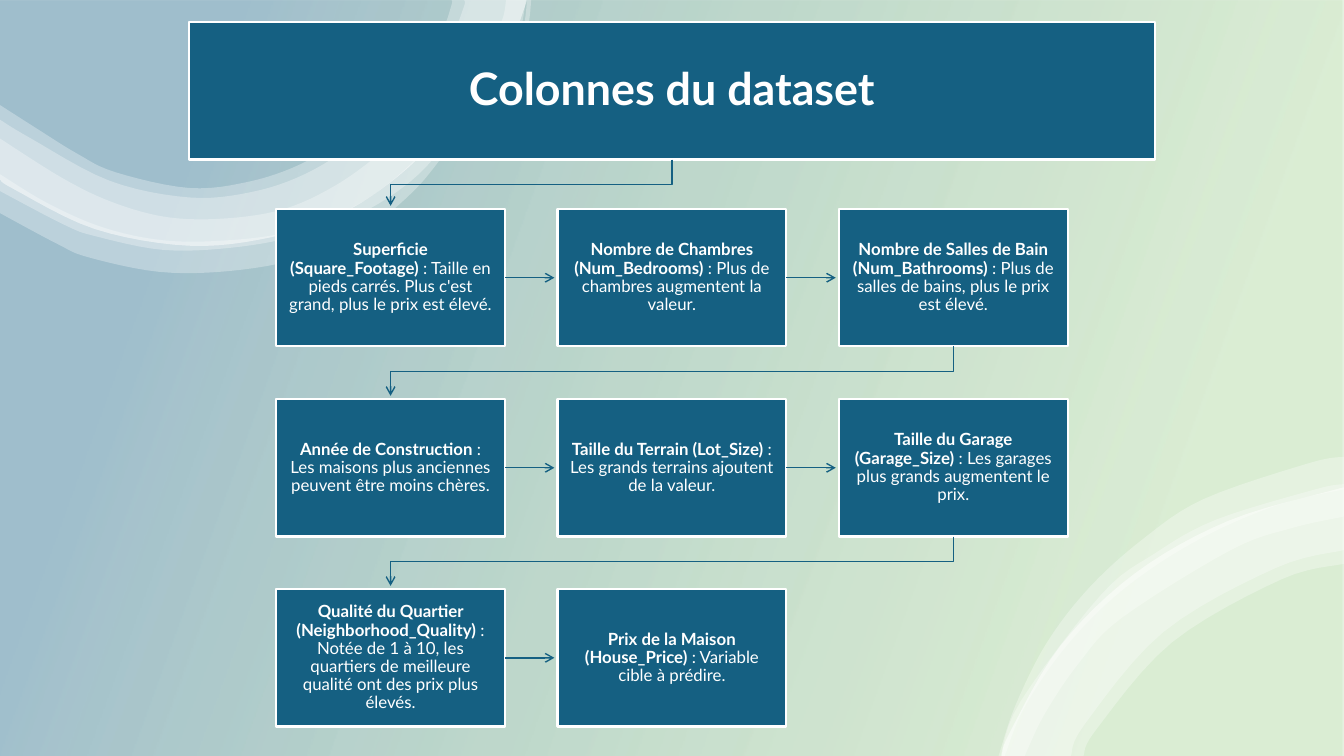
from pptx import Presentation
from pptx.dml.color import RGBColor
from pptx.enum.shapes import MSO_CONNECTOR as Connector, MSO_SHAPE as Shape
from pptx.enum.text import MSO_ANCHOR as Anchor, PP_ALIGN as Align
from pptx.oxml.ns import qn
from pptx.util import Pt
from lxml.etree import SubElement

PX = 9525
WIDTH, HEIGHT = 1280, 720
FONT = "Lato"
COLORS = {"box": "156082", "white": "FFFFFF", "green": "4EA72E"}

TITLE = (180, 21, 920, 131)
BOX_LEFT, BOX_TOP, BOX_WIDTH, BOX_HEIGHT = 263, 199, 218, 131
COLUMN_STEP, ROW_STEP, COLUMNS = 268, 181, 3
ARROW_GAP, ELBOW_DROP = 3, 24

FIELDS = [
    ("Superficie (Square_Footage)",
     " : Taille en pieds carrés. Plus c'est grand, plus le prix est élevé."),
    ("Nombre de Chambres (Num_Bedrooms)", " : Plus de chambres augmentent la valeur."),
    ("Nombre de Salles de Bain (Num_Bathrooms)",
     " : Plus de salles de bains, plus le prix est élevé."),
    ("Année de Construction", " : Les maisons plus anciennes peuvent être moins chères."),
    ("Taille du Terrain (Lot_Size)", " : Les grands terrains ajoutent de la valeur."),
    ("Taille du Garage (Garage_Size)", " : Les garages plus grands augmentent le prix."),
    ("Qualité du Quartier (Neighborhood_Quality)",
     " : Notée de 1 à 10, les quartiers de meilleure qualité ont des prix plus élevés."),
    ("Prix de la Maison (House_Price)", " : Variable cible à prédire."),
]

LEFT_OUTER = [(0, 171), (13, 180), (90, 218), (180, 234), (258, 226), (324, 204),
              (379, 168), (427, 121), (475, 67), (500, 6), (500, 0)]
RIGHT_OUTER = [(954, 720), (962, 697), (1010, 615), (1081, 546), (1170, 496),
               (1269, 467), (1280, 465)]
# Each wave is the area between two smooth edges
WAVES = [
    ([(0, 166), (46, 194), (99, 217), (156, 229), (216, 229), (275, 221), (329, 201),
      (376, 170), (437, 111), (475, 70), (490, 48), (499, 24), (502, 0)],
     [(0, 203), (54, 232), (84, 245), (152, 259), (220, 258), (286, 246), (346, 220),
      (394, 182), (430, 138), (481, 73), (494, 50), (503, 25), (506, 0)]),
    ([(0, 132), (60, 170), (108, 193), (160, 207), (216, 208), (271, 199), (319, 177),
      (361, 147), (399, 113), (455, 58), (469, 38), (479, 17), (482, 0)],
     [(0, 182), (61, 214), (91, 225), (155, 238), (220, 236), (282, 225), (342, 204),
      (392, 172), (430, 131), (462, 90), (485, 58), (495, 33), (501, 0)]),
    ([(0, 114), (28, 131), (104, 172), (180, 188), (239, 183), (290, 166), (336, 137),
      (379, 95), (400, 71), (429, 36), (442, 6), (442, 0)], LEFT_OUTER),
    ([(0, 100), (36, 123), (73, 146), (110, 164), (180, 179), (237, 173), (287, 156),
      (329, 129), (369, 89), (391, 65), (419, 33), (430, 5), (430, 0)], LEFT_OUTER),
    ([(957, 720), (975, 675), (1011, 621), (1055, 574), (1106, 535), (1163, 503),
      (1223, 479), (1280, 466)],
     [(951, 720), (967, 672), (997, 612), (1038, 559), (1089, 513), (1147, 475),
      (1247, 441), (1280, 435)]),
    ([(1032, 720), (1044, 695), (1116, 612), (1220, 552), (1280, 537)], RIGHT_OUTER),
    ([(976, 720), (995, 680), (1028, 631), (1069, 588), (1172, 524), (1230, 503),
      (1280, 492)],
     [(953, 720), (972, 668), (1049, 566), (1100, 527), (1158, 495), (1253, 466),
      (1280, 461)]),
    ([(1020, 720), (1033, 690), (1108, 602), (1215, 541), (1280, 524)], RIGHT_OUTER),
]


def color(name):
    return RGBColor.from_string(COLORS[name])


def set_alpha(fill_element, percent):
    """Make every colour inside a fill element partly transparent."""
    for element in fill_element.iter(qn("a:srgbClr")):
        SubElement(element, qn("a:alpha"), val=str(percent * 1000))


def smooth(points, steps=6):
    """Return points along a Catmull-Rom curve through the given points."""
    padded = [points[0], *points, points[-1]]
    curve = []
    for a, b, c, d in zip(padded, padded[1:], padded[2:], padded[3:]):
        for step in range(steps):
            t = step / steps
            curve.append(tuple(
                (2 * q + (r - p) * t + (2 * p - 5 * q + 4 * r - s) * t ** 2
                 + (3 * q - p - 3 * r + s) * t ** 3) / 2
                for p, q, r, s in zip(a, b, c, d)))
    return curve + [points[-1]]


def add_outline(slide, points, close):
    scaled = [(round(x * PX), round(y * PX)) for x, y in points]
    builder = slide.shapes.build_freeform(*scaled[0])
    builder.add_line_segments(scaled[1:], close=close)
    shape = builder.convert_to_shape()
    shape.shadow.inherit = False
    return shape


def add_rectangle(slide, *box):
    shape = slide.shapes.add_shape(Shape.RECTANGLE, *(length * PX for length in box))
    shape.shadow.inherit = False
    return shape


def add_backdrop(slide):
    shape = add_rectangle(slide, 0, 0, WIDTH, HEIGHT)
    shape.line.fill.background()
    shape.fill.gradient()
    shape.fill.gradient_angle = 160
    looks = [(0.16, "green", 20), (0.85, "box", 40)]
    for stop, (position, name, alpha) in zip(shape.fill.gradient_stops, looks):
        stop.position = position
        stop.color.rgb = color(name)
    stop_elements = shape._element.spPr.iter(qn("a:gs"))
    for element, (_, _, alpha) in zip(stop_elements, looks):
        set_alpha(element, alpha)


def add_wave(slide, inner, outer):
    shape = add_outline(slide, smooth(inner) + smooth(outer)[::-1], close=True)
    shape.line.fill.background()
    shape.fill.solid()
    shape.fill.fore_color.rgb = color("white")
    set_alpha(shape._element.spPr, 30)


def add_box(slide, box, size, heading, detail=""):
    shape = add_rectangle(slide, *box)
    shape.fill.solid()
    shape.fill.fore_color.rgb = color("box")
    shape.line.color.rgb = color("white")
    shape.line.width = Pt(1.5)
    frame = shape.text_frame
    frame.word_wrap = True
    frame.vertical_anchor = Anchor.MIDDLE
    frame.margin_left = frame.margin_right = 11 * PX
    frame.margin_top = frame.margin_bottom = 12 * PX
    paragraph = frame.paragraphs[0]
    paragraph.alignment = Align.CENTER
    paragraph.line_spacing = 0.9
    for text, bold in ((heading, True), (detail, False)):
        if text:
            run = paragraph.add_run()
            run.text = text
            run.font.name = FONT
            run.font.size = Pt(size)
            run.font.bold = bold
            run.font.color.rgb = color("white")
    return shape


def style_arrow(shape):
    shape.line.color.rgb = color("box")
    shape.line.width = Pt(1)
    SubElement(shape.line._get_or_add_ln(), qn("a:tailEnd"), type="arrow")


def add_side_arrow(slide, source, target):
    middle = source.top + source.height // 2
    arrow = slide.shapes.add_connector(
        Connector.STRAIGHT, source.left + source.width, middle,
        target.left - ARROW_GAP * PX, middle)
    arrow.begin_connect(source, 3)
    style_arrow(arrow)
    SubElement(arrow._element.spPr, qn("a:effectLst"))


def add_elbow_arrow(slide, source, target):
    """Lead from the bottom of one box down and across to the top of another."""
    start_x, end_x = ((box.left + box.width / 2) / PX for box in (source, target))
    bottom = (source.top + source.height) / PX
    turn = bottom + ELBOW_DROP
    end = target.top / PX - ARROW_GAP
    arrow = add_outline(
        slide, [(start_x, bottom), (start_x, turn), (end_x, turn), (end_x, end)], close=False)
    arrow.fill.background()
    style_arrow(arrow)


def main():
    presentation = Presentation()
    presentation.slide_width, presentation.slide_height = WIDTH * PX, HEIGHT * PX
    slide = presentation.slides.add_slide(presentation.slide_layouts[6])
    add_backdrop(slide)
    for inner, outer in WAVES:
        add_wave(slide, inner, outer)

    boxes = [add_box(slide, TITLE, 32, "Colonnes du dataset")]
    for index, (heading, detail) in enumerate(FIELDS):
        row, column = divmod(index, COLUMNS)
        place = (BOX_LEFT + column * COLUMN_STEP, BOX_TOP + row * ROW_STEP,
                 BOX_WIDTH, BOX_HEIGHT)
        boxes.append(add_box(slide, place, 12, heading, detail))
    for index, (source, target) in enumerate(zip(boxes, boxes[1:])):
        add_arrow = add_side_arrow if index % COLUMNS else add_elbow_arrow
        add_arrow(slide, source, target)
    presentation.save("out.pptx")


if __name__ == "__main__":
    main()
